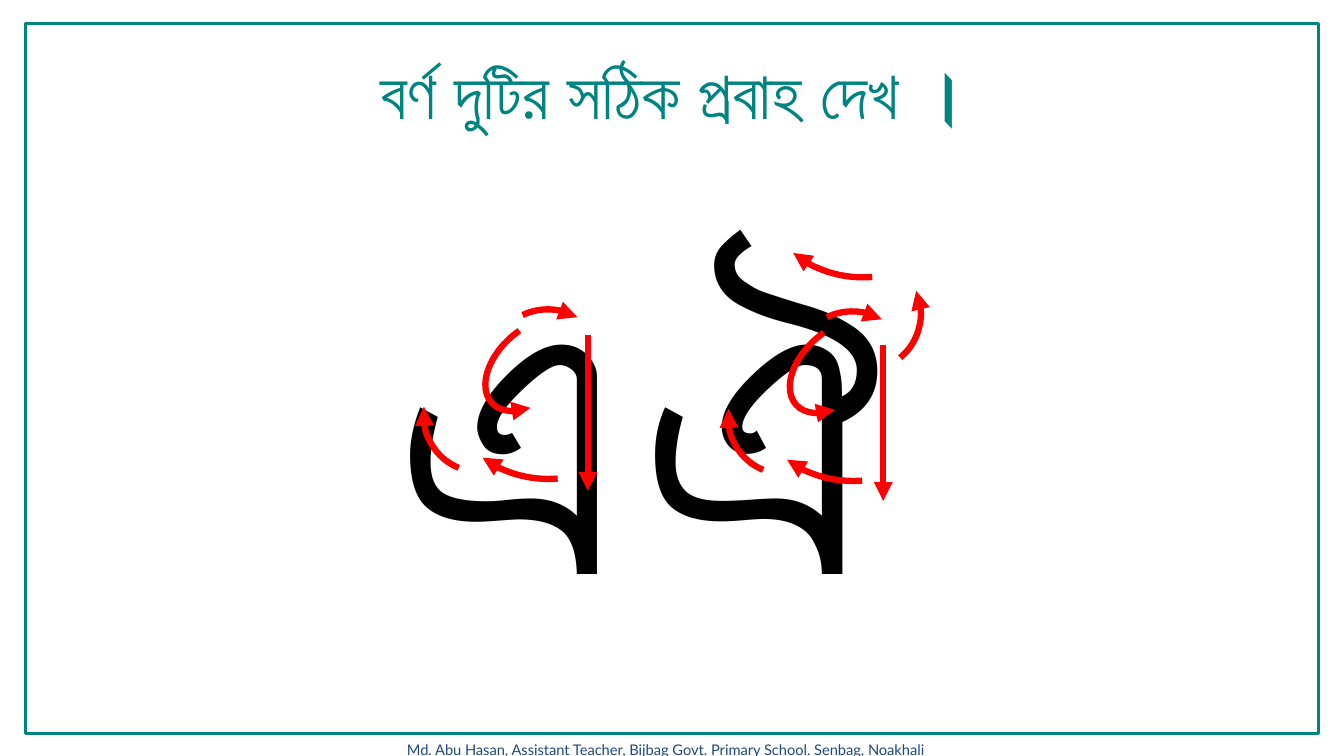
from dataclasses import dataclass

from lxml import etree
from pptx import Presentation
from pptx.dml.color import RGBColor
from pptx.enum import shapes, text
from pptx.oxml import ns
from pptx.util import Inches, Pt


@dataclass(frozen=True)
class Theme:
    font: str = "Lato"
    teal: str = "008481"
    black: str = "000000"
    red: str = "FF0000"
    navy: str = "1F497D"
    title: float = 48
    letter: float = 287
    footer: float = 10.5
    frame_line: float = 2
    stroke_line: float = 4.5


THEME = Theme()

# Strokes: left, top, width, height, rotation, start, end, flip
TOP_HOOK = (4.87, 3.07, 1.14, 1.1, 9.4, 139.91, 175.07, None)
CURL = (4.73, 3.26, 1.14, 0.71, 318.1, 43.27, 133.79, "flipV")
BASE = (4.41, 2.85, 2.1, 1.9, 174.4, 162.8, 190.76, None)
TAIL = (4.18, 3.56, 1.14, 1.1, 270, 120.36, 166.68, None)
SHARED_STROKES = (BASE, CURL, TOP_HOOK, TAIL)
CROWN_STROKES = (
    (7.53, 0.85, 2.1, 1.9, 174.4, 162.8, 192.45, None),
    (8.01, 2.55, 1.14, 1.1, 72.8, 120.36, 165.45, "flipH"),
)


def write(shape, words, size, color, bold=False, align=text.PP_ALIGN.CENTER):
    frame = shape.text_frame
    frame.word_wrap = True
    frame.auto_size = text.MSO_AUTO_SIZE.SHAPE_TO_FIT_TEXT
    frame.vertical_anchor = text.MSO_ANCHOR.TOP
    frame.text = words
    para = frame.paragraphs[0]
    para.alignment = align
    font = para.runs[0].font
    font.name, font.size, font.bold = THEME.font, Pt(size), bold
    font.color.rgb = RGBColor.from_string(color)


def add_words(page, box, words, size, color, **style):
    label = page.shapes.add_textbox(*map(Inches, box))
    write(label, words, size, color, **style)


def add_title(page, box, words):
    title = page.shapes.title
    title.left, title.top, title.width, title.height = map(Inches, box)
    write(title, words, THEME.title, THEME.teal, bold=True)


def add_frame(page, box):
    frame = page.shapes.add_shape(shapes.MSO_SHAPE.RECTANGLE, *map(Inches, box))
    frame.shadow.inherit = False
    frame.fill.background()
    frame.line.color.rgb = RGBColor.from_string(THEME.teal)
    frame.line.width = Pt(THEME.frame_line)


def style_stroke(stroke):
    """Give a line or arc the red pen, with an arrowhead at its end."""
    stroke.line.color.rgb = RGBColor.from_string(THEME.red)
    stroke.line.width = Pt(THEME.stroke_line)
    pen = stroke.element.spPr.find(ns.qn("a:ln"))
    etree.SubElement(pen, ns.qn("a:tailEnd"), type="triangle")


def add_arc(page, arc, dx=0, dy=0):
    left, top, width, height, rotation, start, end, flip = arc
    box = (left + dx, top + dy, width, height)
    stroke = page.shapes.add_shape(shapes.MSO_SHAPE.ARC, *map(Inches, box))
    stroke.shadow.inherit = False
    stroke.fill.background()
    stroke.rotation = rotation
    stroke.adjustments[0], stroke.adjustments[1] = start, end
    if flip:
        stroke.element.spPr.find(ns.qn("a:xfrm")).set(flip, "1")
    style_stroke(stroke)


def add_down_stroke(page, x, top, length=1.55):
    stroke = page.shapes.add_connector(
        shapes.MSO_CONNECTOR.STRAIGHT,
        *map(Inches, (x, top, x, top + length)))
    style_stroke(stroke)
    etree.SubElement(stroke.element.spPr, ns.qn("a:effectLst"))


def add_strokes(page, dx, dy, down_at):
    for arc in SHARED_STROKES:
        add_arc(page, arc, dx, dy)
    add_down_stroke(page, *down_at)


def build_stroke_page(deck):
    page = deck.slides.add_slide(deck.slide_layouts[5])
    add_words(page, (3.5, 7.3, 6.21, 0.28),
              "Md. Abu Hasan, Assistant Teacher, Bijbag Govt. Primary School."
              " Senbag, Noakhali", THEME.footer, THEME.navy)
    add_words(page, (6.26, 1.66, 3.58, 4.93), "ঐ", THEME.letter, THEME.black,
              bold=True, align=text.PP_ALIGN.LEFT)
    add_words(page, (3.24, 1.66, 3.58, 4.93), "এ", THEME.letter, THEME.black,
              bold=True)
    add_frame(page, (0.25, 0.23, 12.83, 7.05))
    add_title(page, (1.75, 0.47, 9.83, 0.91), "বর্ণ দুটির সঠিক প্রবাহ দেখ ।")
    add_strokes(page, 0, 0, (5.83, 3.32))
    for arc in CROWN_STROKES:
        add_arc(page, arc)
    add_strokes(page, 3.02, 0.02, (8.76, 3.42))


def main():
    deck = Presentation()
    deck.slide_width, deck.slide_height = Inches(13.33), Inches(7.5)
    build_stroke_page(deck)
    deck.save("out.pptx")


if __name__ == "__main__":
    main()
